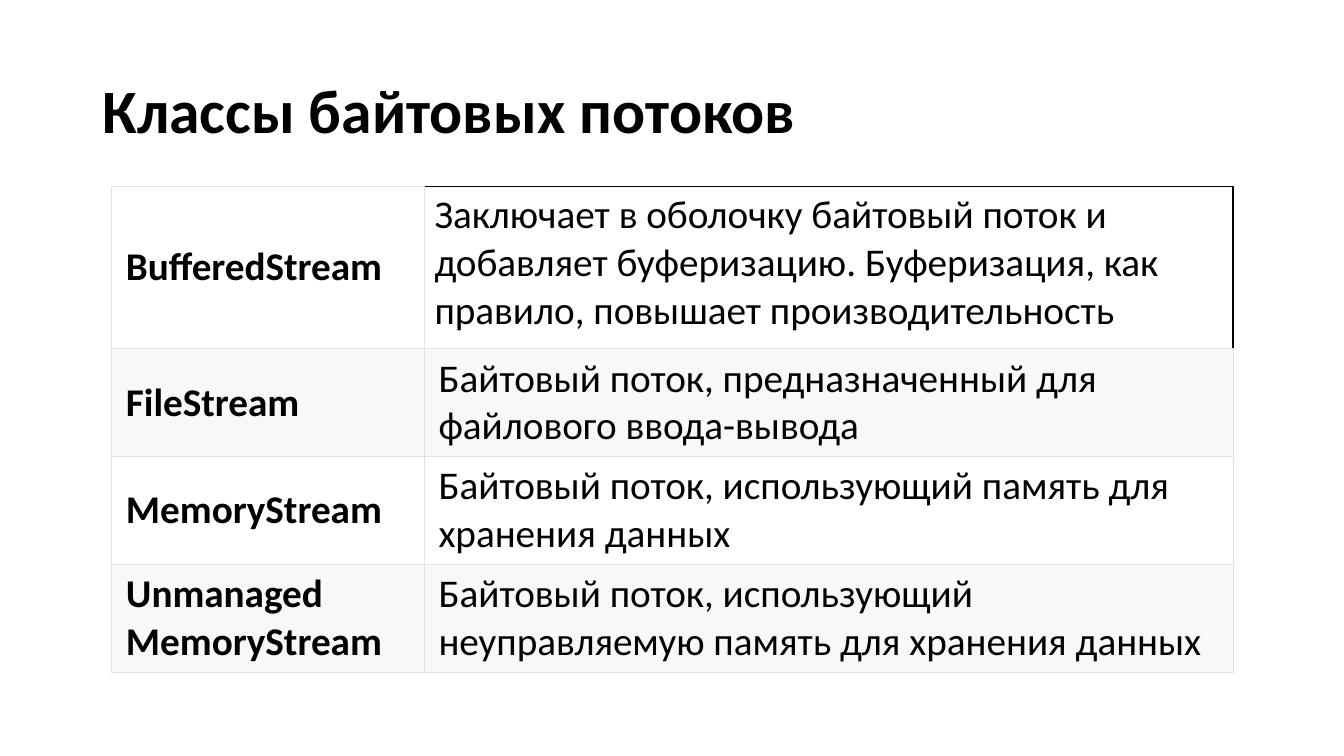
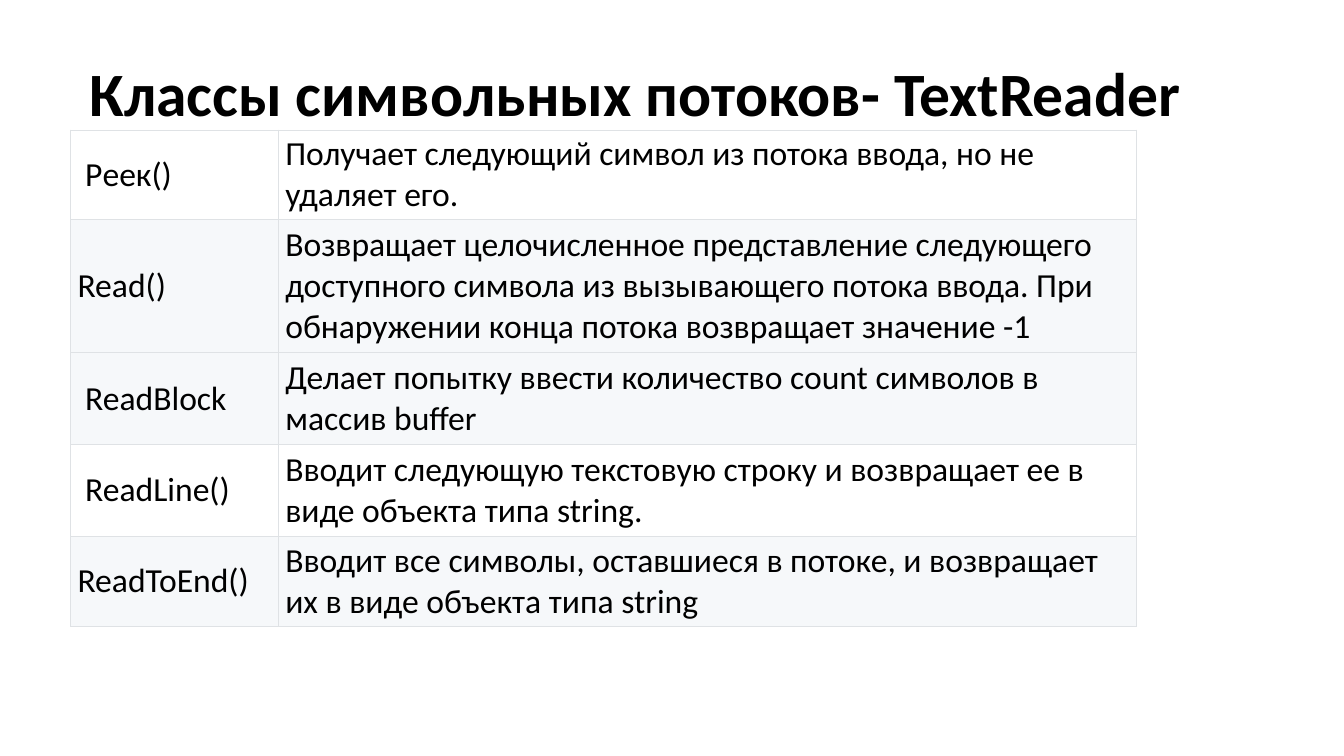
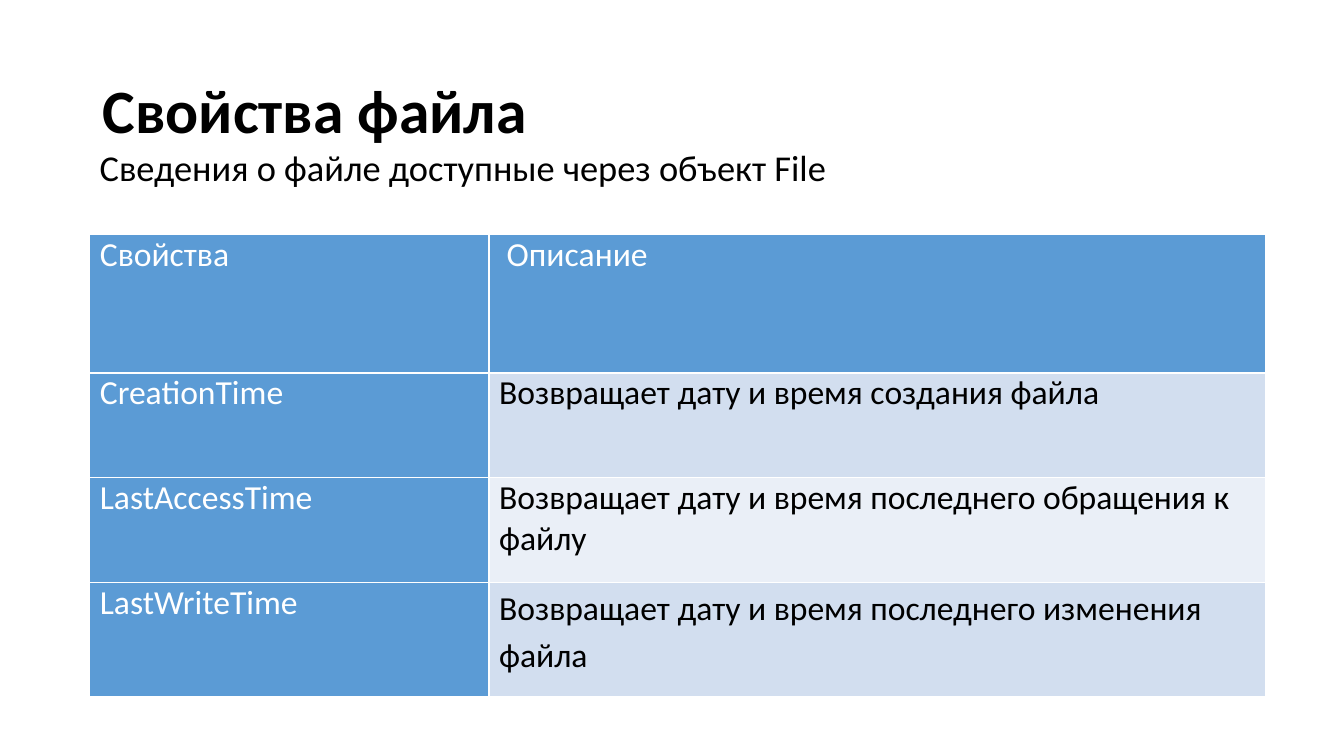
"""Builds three slides on stream classes and file properties."""
from lxml import etree
from pptx import Presentation
from pptx import util as u
from pptx.dml import color
from pptx.enum import text
from pptx.oxml import ns

FONT = "Calibri"
C = {"black": "000000", "white": "FFFFFF", "grid": "DFE2E5", "stripe": "F6F8FA",
     "blue": "5B9BD5", "band": "D2DEEF", "pale": "EAEFF7"}

BYTE_STREAMS = [
    ("BufferedStream", "Заключает в оболочку байтовый поток и добавляет буферизацию. "
                       "Буферизация, как правило, повышает производительность"),
    ("FileStream", "Байтовый поток, предназначенный для файлового ввода-вывода"),
    ("MemoryStream", "Байтовый поток, использующий память для хранения данных"),
    ("Unmanaged\nMemoryStream",
     "Байтовый поток, использующий неуправляемую память для хранения данных"),
]
READER_METHODS = [
    (" Рeек()", "Получает следующий символ из потока ввода, но не удаляет его."),
    ("Read()", "Возвращает целочисленное представление следующего доступного символа "
               "из вызывающего потока ввода. При обнаружении конца потока возвращает "
               "значение -1"),
    (" ReadBlock", "Делает попытку ввести количество count символов в массив buffer"),
    (" ReadLine()", "Вводит следующую текстовую строку и возвращает ее в виде объекта "
                    "типа string."),
    ("ReadToEnd()", "Вводит все символы, оставшиеся в потоке, и возвращает их в виде "
                    "объекта типа string"),
]
FILE_PROPERTIES = [
    ("Свойства", " Описание"),
    ("CreationTime", "Возвращает дату и время создания файла"),
    ("LastAccessTime", "Возвращает дату и время последнего обращения к файлу"),
    ("LastWriteTime", "Возвращает дату и время последнего изменения файла"),
]


def rgb(name):
    return color.RGBColor.from_string(C[name])


def style(tf, size, ink="black", bold=False, spacing=None):
    for p in tf.paragraphs:
        p.font.name = FONT
        p.font.size = u.Pt(size)
        p.font.bold = bold
        p.font.color.rgb = rgb(ink)
        if spacing:
            p.line_spacing = spacing


def add_text(s, words, box, size, anchor=text.MSO_ANCHOR.TOP, **look):
    tf = s.shapes.add_textbox(*map(u.Inches, box)).text_frame
    tf.word_wrap = True
    tf.vertical_anchor = anchor
    tf.text = words
    style(tf, size, **look)


def add_slide(prs, title, box=(0.92, 0.4, 11.5, 1.45)):
    s = prs.slides.add_slide(prs.slide_layouts[6])
    add_text(s, title, box, 44, text.MSO_ANCHOR.MIDDLE, bold=True, spacing=0.9)
    return s


def set_borders(cell, ink, width, sides="LRTB"):
    tcPr = cell._tc.get_or_add_tcPr()
    for i, side in enumerate(sides):
        tag = ns.qn(f"a:ln{side}")
        for old in tcPr.findall(tag):
            tcPr.remove(old)
        ln = etree.Element(tag, w=str(u.Pt(width)))
        fill = etree.SubElement(ln, ns.qn("a:solidFill"))
        etree.SubElement(fill, ns.qn("a:srgbClr"), val=C[ink])
        tcPr.insert("LRTB".index(side), ln)


def set_margins(cell, x, y):
    cell.margin_left = cell.margin_right = u.Inches(x)
    cell.margin_top = cell.margin_bottom = u.Inches(y)


def add_table(s, rows, at, widths, heights, fills, border, margins, anchor, size,
              look=lambda row, col: {}):
    total = [sum(widths), sum(heights)]
    frame = s.shapes.add_table(len(rows), len(widths), *map(u.Inches, [*at, *total]))
    table = frame.table
    table.first_row = table.horz_banding = False
    for column, width in zip(table.columns, widths):
        column.width = u.Inches(width)
    for i, (row, height) in enumerate(zip(rows, heights)):
        table.rows[i].height = u.Inches(height)
        for j, words in enumerate(row):
            cell = table.cell(i, j)
            cell.text = words
            cell.vertical_anchor = anchor
            set_margins(cell, *margins)
            cell.fill.solid()
            cell.fill.fore_color.rgb = rgb(fills[i][j])
            set_borders(cell, *border)
            style(cell.text_frame, size, **look(i, j))
    return table


def byte_streams(prs):
    s = add_slide(prs, "Классы байтовых потоков")
    table = add_table(s, BYTE_STREAMS, (1.11, 1.85), (3.1, 8.02), [1.61] + [1.07] * 3,
                      [("white",) * 2, ("stripe",) * 2] * 2, ("grid", 0.75),
                      (0.14, 0.06), text.MSO_ANCHOR.MIDDLE, 28,
                      lambda row, col: {"bold": col == 0})
    cell = table.cell(0, 1)
    cell.vertical_anchor = text.MSO_ANCHOR.TOP
    set_margins(cell, 0.1, 0.05)
    set_borders(cell, "black", 1, "RT")


def reader_methods(prs):
    s = add_slide(prs, "Классы символьных потоков- TextReader", (0.79, 0.39, 11.5, 1.13))
    fills = [(name,) * 2 for name in ("white", "stripe", "stripe", "white", "stripe")]
    add_table(s, READER_METHODS, (0.7, 1.29), (2.06, 8.51), (0.89, 1.32, 0.91, 0.91, 0.9),
              fills, ("grid", 0.75), (0.07, 0.03), text.MSO_ANCHOR.MIDDLE, 24)


def file_properties(prs):
    s = add_slide(prs, "Свойства файла")
    fills = [("blue", name) for name in ("blue", "band", "pale", "band")]
    table = add_table(s, FILE_PROPERTIES, (0.89, 2.33), (3.96, 7.7),
                      (1.37, 1.04, 1.04, 1.13), fills, ("white", 1), (0.1, 0),
                      text.MSO_ANCHOR.TOP, 24,
                      lambda row, col: {"ink": "black" if row and col else "white"})
    table.cell(3, 1).text_frame.paragraphs[0].line_spacing = 1.15
    add_text(s, "Сведения о файле доступные через объект File", (0.89, 1.39, 11.67, 0.54), 26)


def main():
    prs = Presentation()
    prs.slide_width, prs.slide_height = u.Inches(13.33), u.Inches(7.5)
    byte_streams(prs)
    reader_methods(prs)
    file_properties(prs)
    prs.save("out.pptx")


if __name__ == "__main__":
    main()
